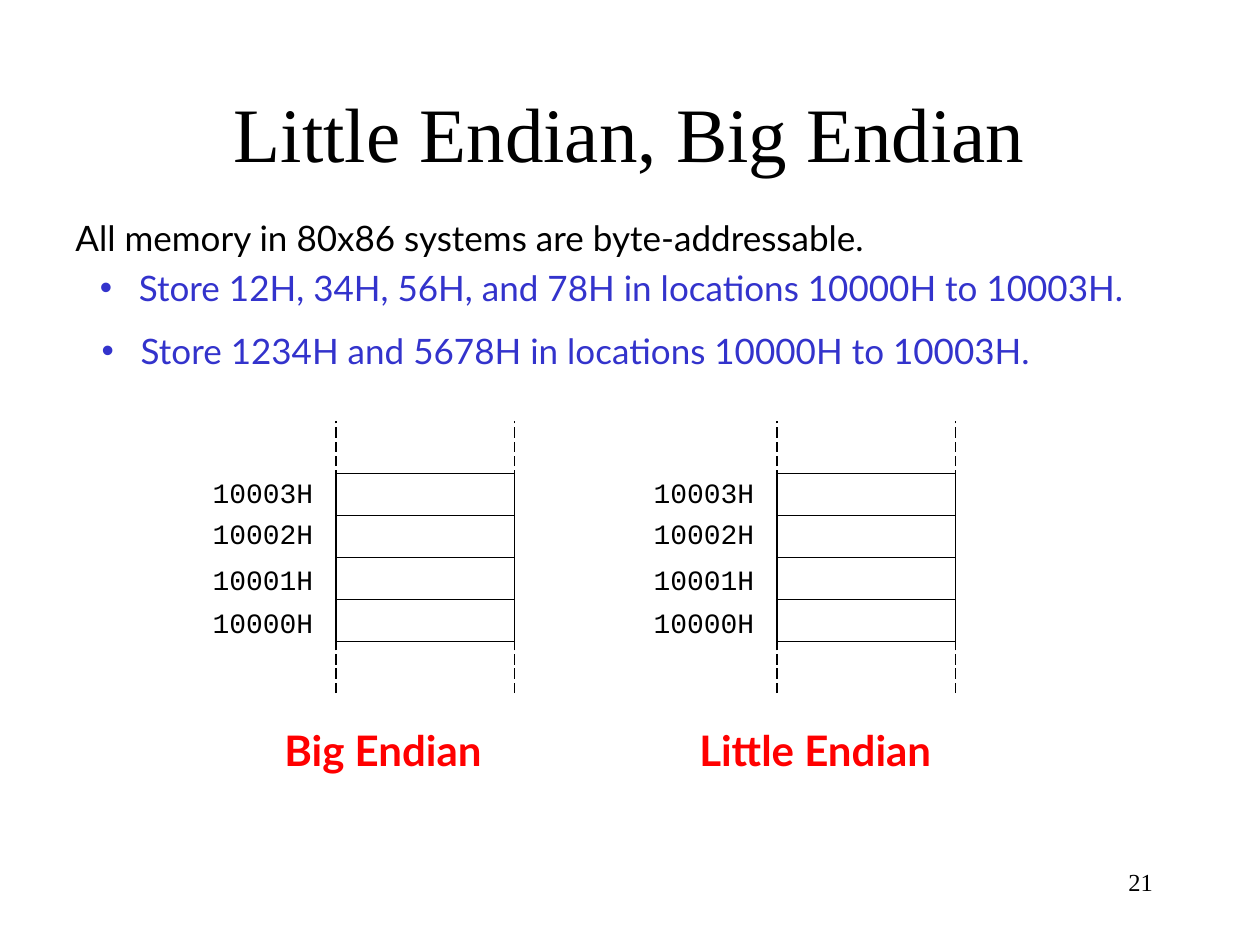
from dataclasses import dataclass
from typing import Optional

from lxml.etree import SubElement
from pptx import Presentation
from pptx.dml.color import RGBColor
from pptx.enum.dml import MSO_LINE
from pptx.enum.shapes import MSO_CONNECTOR, MSO_SHAPE
from pptx.enum.text import MSO_ANCHOR, MSO_AUTO_SIZE, PP_ALIGN
from pptx.oxml.ns import qn
from pptx.util import Pt

COLORS = {"black": "000000", "blue": "3333CC", "red": "FF0000"}
SANS, SERIF, MONO = "Lato", "Times New Roman", "Courier New"
CELL_WIDTH, CELL_HEIGHT, CELLS_TOP = 102, 24, 270.5
EDGE_TOP, EDGE_BOTTOM = 240.5, 396
LABEL_OFFSET, LABEL_WIDTH, LABEL_HEIGHT = 77.5, 72, 26.5


@dataclass
class Address:
    text: str
    top: float


@dataclass
class MemoryMap:
    left: float
    caption: str
    caption_left: float
    caption_width: float


ADDRESSES = [
    Address("10003H", 268),
    Address("10002H", 291.5),
    Address("10001H", 318),
    Address("10000H", 342.5),
]
MEMORY_MAPS = [
    MemoryMap(192, "Big Endian", 155.5, 141),
    MemoryMap(444, "Little Endian", 392.5, 165.5),
]


def color(name: str) -> RGBColor:
    return RGBColor.from_string(COLORS[name])


def add_bullet(para, name: str, indent: float) -> None:
    properties = para._p.get_or_add_pPr()
    properties.set("marL", str(Pt(indent)))
    properties.set("indent", str(-Pt(indent)))
    bullet_color = SubElement(properties, qn("a:buClr"))
    SubElement(bullet_color, qn("a:srgbClr"), val=COLORS[name])
    SubElement(properties, qn("a:buFont"), typeface="Arial")
    SubElement(properties, qn("a:buChar"), char="•")


def add_text(page, text: str, left: float, top: float, width: float, height: float, *,
             font: str = SANS, size: float = 20, ink: str = "black", bold: bool = False,
             align: PP_ALIGN = PP_ALIGN.LEFT, anchor: MSO_ANCHOR = MSO_ANCHOR.TOP,
             wrap: bool = False, bullet_indent: Optional[float] = None) -> None:
    box = page.shapes.add_textbox(Pt(left), Pt(top), Pt(width), Pt(height))
    frame = box.text_frame
    frame.word_wrap = wrap
    frame.auto_size = MSO_AUTO_SIZE.NONE if wrap else MSO_AUTO_SIZE.SHAPE_TO_FIT_TEXT
    frame.vertical_anchor = anchor
    para = frame.paragraphs[0]
    para.alignment = align
    if bullet_indent is not None:
        add_bullet(para, ink, bullet_indent)
    span = para.add_run()
    span.text = text
    span.font.name = font
    span.font.size = Pt(size)
    span.font.bold = bold
    span.font.color.rgb = color(ink)


def add_edge(page, x: float) -> None:
    edge = page.shapes.add_connector(
        MSO_CONNECTOR.STRAIGHT, Pt(x), Pt(EDGE_BOTTOM), Pt(x), Pt(EDGE_TOP))
    edge.line.color.rgb = color("black")
    edge.line.width = Pt(0.75)
    edge.line.dash_style = MSO_LINE.LONG_DASH
    SubElement(edge._element.spPr, qn("a:effectLst"))


def add_cell(page, left: float, top: float) -> None:
    cell = page.shapes.add_shape(
        MSO_SHAPE.RECTANGLE, Pt(left), Pt(top), Pt(CELL_WIDTH), Pt(CELL_HEIGHT))
    cell.shadow.inherit = False
    cell.fill.background()
    cell.line.color.rgb = color("black")
    cell.line.width = Pt(0.75)


def add_memory_map(page, memory: MemoryMap) -> None:
    for x in (memory.left + CELL_WIDTH, memory.left):
        add_edge(page, x)
    for row, address in enumerate(ADDRESSES):
        add_cell(page, memory.left, CELLS_TOP + row * CELL_HEIGHT)
        add_text(page, address.text, memory.left - LABEL_OFFSET, address.top,
                 LABEL_WIDTH, LABEL_HEIGHT, font=MONO, size=16)
    add_text(page, memory.caption, memory.caption_left, 410.5,
             memory.caption_width, 36, size=24, ink="red", bold=True)


def main() -> None:
    deck = Presentation()
    deck.slide_width, deck.slide_height = Pt(720), Pt(540)
    page = deck.slides.add_slide(deck.slide_layouts[6])
    add_text(page, "Little Endian, Big Endian", 54, 30, 612, 90, font=SERIF, size=44,
             align=PP_ALIGN.CENTER, anchor=MSO_ANCHOR.MIDDLE, wrap=True)
    add_text(page, "All memory in 80x86 systems are byte-addressable.",
             36, 120, 497, 31.5)
    add_text(page, "Store 12H, 34H, 56H, and 78H in locations 10000H to 10003H.",
             50, 149, 603.5, 31.5, ink="blue", bullet_indent=22.3)
    add_text(page, "Store 1234H and 5678H in locations 10000H to 10003H.",
             51, 185, 547, 31.5, ink="blue", bullet_indent=22.3)
    for memory in MEMORY_MAPS:
        add_memory_map(page, memory)
    add_text(page, "21", 516, 492, 150, 36, font=SERIF, size=14,
             align=PP_ALIGN.RIGHT, wrap=True)
    deck.save("out.pptx")


if __name__ == "__main__":
    main()
